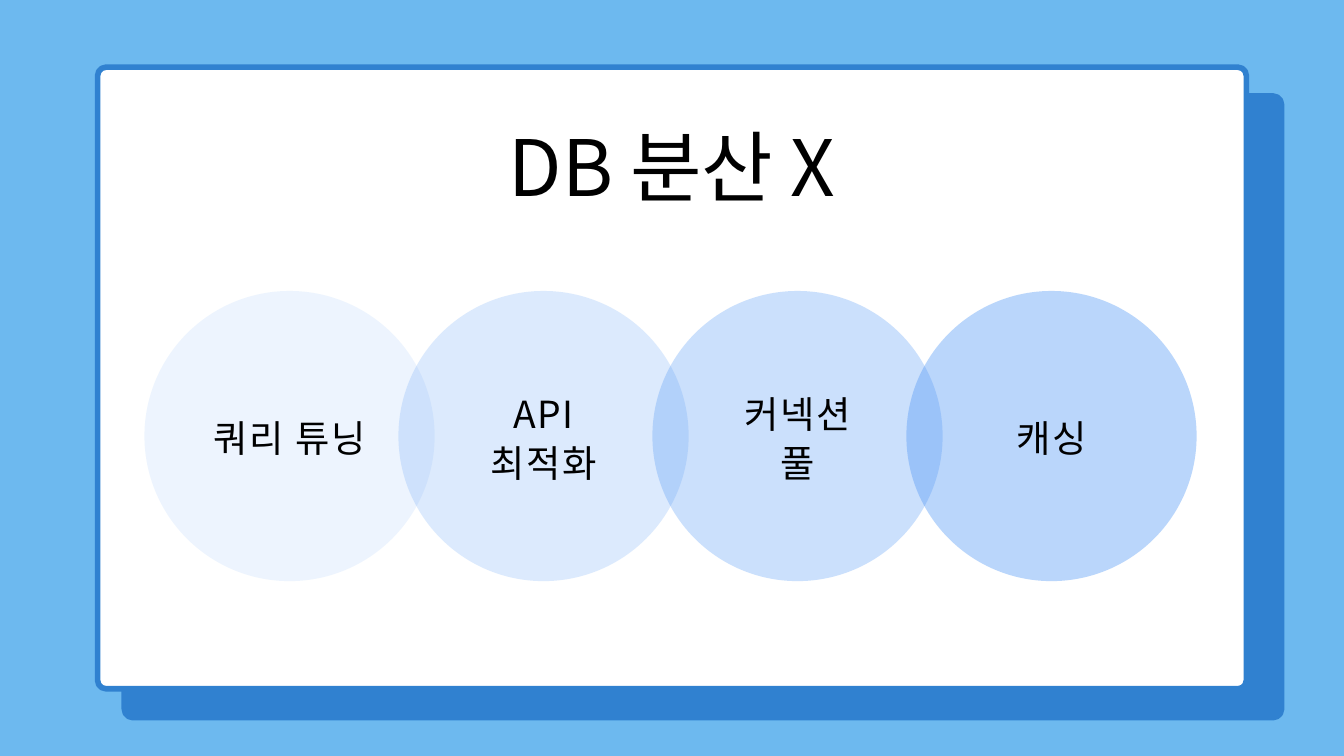
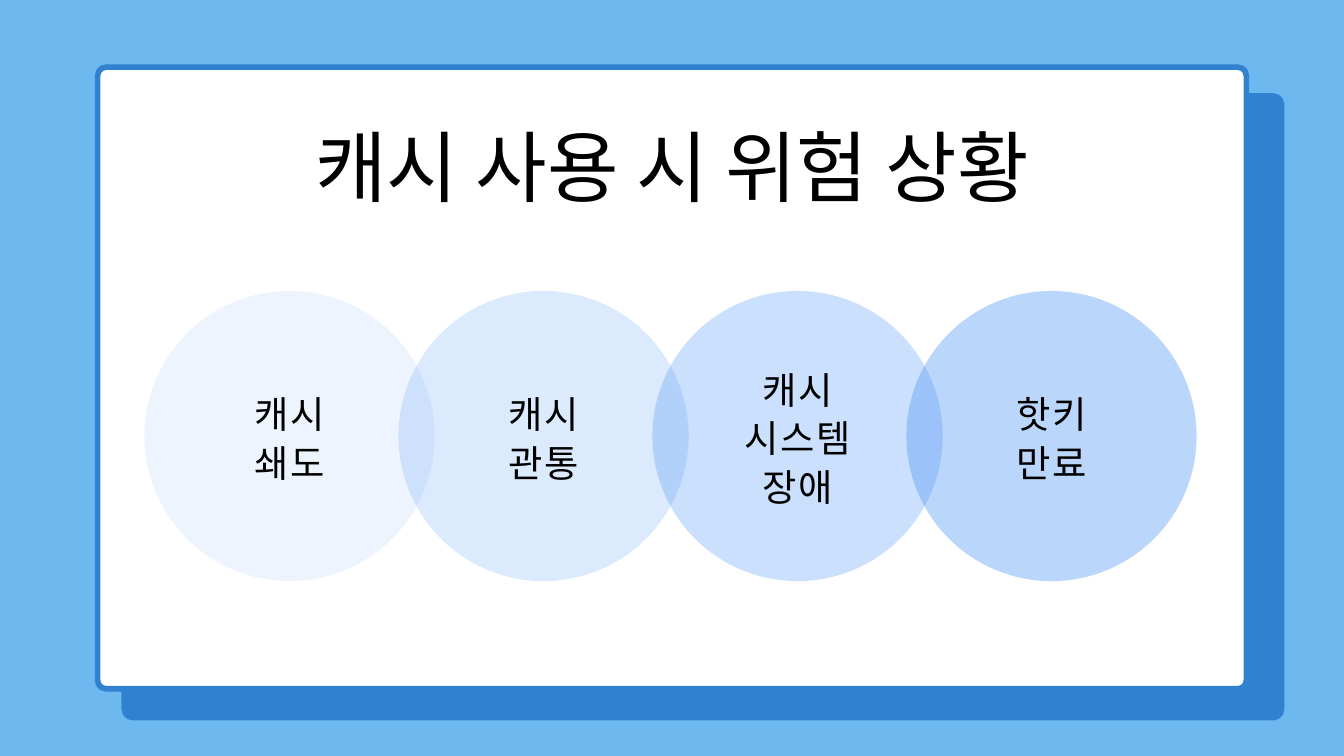
from dataclasses import dataclass

from lxml.etree import SubElement
from pptx import Presentation
from pptx.dml.color import RGBColor
from pptx.enum.shapes import MSO_SHAPE as Shape
from pptx.enum.text import MSO_ANCHOR as Anchor, MSO_AUTO_SIZE as AutoSize, PP_ALIGN as Align
from pptx.oxml.ns import qn
from pptx.util import Cm, Pt


@dataclass(frozen=True)
class Theme:
    sky: RGBColor = RGBColor.from_string("6DB9EF")
    frame: RGBColor = RGBColor.from_string("3081D0")
    paper: RGBColor = RGBColor.from_string("FFFFFF")
    bubble: RGBColor = RGBColor.from_string("5499F6")
    ink: RGBColor = RGBColor.from_string("000000")
    font: str = "Noto Sans CJK KR"
    title_size: float = 83.3
    title_leading: float = 106.6
    label_size: float = 40
    label_leading: float = 52
    label_tracking: float = 2


theme = Theme()


def set_text(frame, text, size, leading, anchor, tracking=0):
    """Fill a text frame with centred lines in the theme font."""
    frame.text = text
    frame.word_wrap = True
    frame.auto_size = AutoSize.NONE
    frame.vertical_anchor = anchor
    frame.margin_left = frame.margin_right = frame.margin_top = frame.margin_bottom = 0
    for paragraph in frame.paragraphs:
        paragraph.alignment = Align.CENTER
        paragraph.line_spacing = Pt(leading)
        for run in paragraph.runs:
            run.font.size = Pt(size)
            run.font.name = theme.font
            run.font.color.rgb = theme.ink
            properties = run.font._element
            SubElement(properties, qn("a:ea")).set("typeface", theme.font)
            if tracking:
                properties.set("spc", str(tracking * 100))


def add_panel(slide, shape_type, left, top, width, height, fill):
    """Add a flat filled shape without an outline; lengths in cm."""
    panel = slide.shapes.add_shape(shape_type, Cm(left), Cm(top), Cm(width), Cm(height))
    panel.shadow.inherit = False
    panel.fill.solid()
    panel.fill.fore_color.rgb = fill
    panel.line.fill.background()
    return panel


# Content: title, title width, bubble labels
topics = [
    ("DB 분산 X", 16.56, ["쿼리 튜닝", "API\n최적화", "커넥션\n풀", "캐싱"]),
    ("캐시 사용 시 위험 상황", 29.82,
     ["캐시\n쇄도", "캐시\n관통", "캐시\n시스템\n장애", "핫키\n만료"]),
]

# Shared geometry in cm
slide_width, slide_height = 50.8, 28.58
card_height, corner_radius, border = 23.5, 0.32, 6
cards = [(4.7, 3.63, 43.74, theme.frame), (3.69, 2.54, 43.42, theme.paper)]
title_top, title_height = 4.27, 3.68
bubble_left, bubble_top, bubble_size, bubble_step = 5.46, 11, 10.97, 9.6
label_width, line_height = 7.32, 1.83

# Deck and common background
deck = Presentation()
deck.slide_width, deck.slide_height = Cm(slide_width), Cm(slide_height)
deck.slide_master.background.fill.solid()
deck.slide_master.background.fill.fore_color.rgb = theme.sky
title_only = deck.slide_layouts[5]

for heading, heading_width, labels in topics:
    slide = deck.slides.add_slide(title_only)

    # Card with its offset backing
    for left, top, width, fill in cards:
        card = add_panel(slide, Shape.ROUNDED_RECTANGLE, left, top, width, card_height, fill)
        card.adjustments[0] = corner_radius / card_height
        card.line.color.rgb = theme.frame
        card.line.width = Pt(border)

    # Title, brought in front of the card
    title = slide.shapes.title
    title.left, title.top = Cm((slide_width - heading_width) / 2), Cm(title_top)
    title.width, title.height = Cm(heading_width), Cm(title_height)
    set_text(title.text_frame, heading, theme.title_size, theme.title_leading, Anchor.TOP)
    title.element.getparent().append(title.element)

    # Overlapping bubbles, each more opaque than the last
    for index in range(len(labels)):
        bubble = add_panel(slide, Shape.OVAL, bubble_left + index * bubble_step, bubble_top,
                           bubble_size, bubble_size, theme.bubble)
        tint = bubble.element.spPr.find(qn("a:solidFill"))[0]
        SubElement(tint, qn("a:alpha")).set("val", str((index + 1) * 10000))

    # Labels centred on the bubbles
    for index, text in enumerate(labels):
        height = line_height * len(text.split("\n"))
        left = bubble_left + index * bubble_step + (bubble_size - label_width) / 2
        top = bubble_top + (bubble_size - height) / 2
        label = slide.shapes.add_textbox(Cm(left), Cm(top), Cm(label_width), Cm(height))
        set_text(label.text_frame, text, theme.label_size, theme.label_leading,
                 Anchor.TOP, theme.label_tracking)

deck.save("out.pptx")
